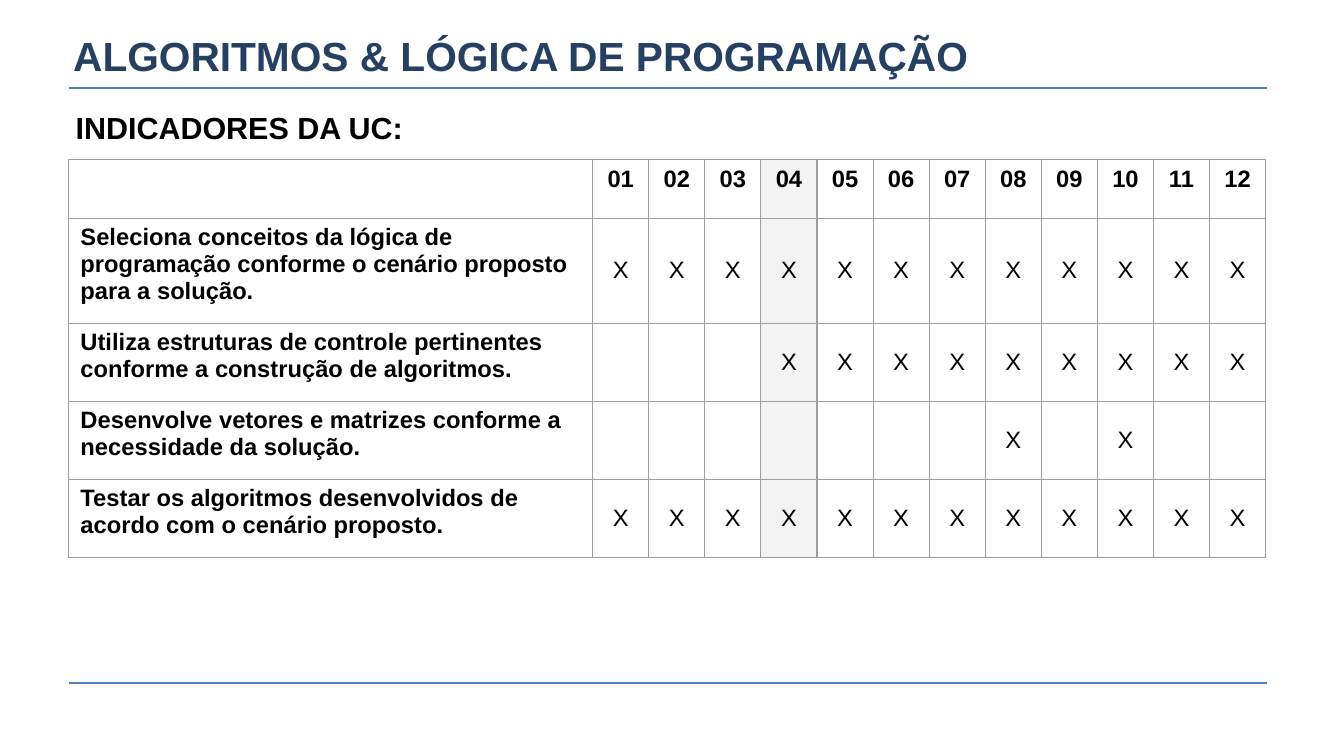
from lxml import etree
from pptx import Presentation, util as u
from pptx.dml.color import RGBColor
from pptx.enum import shapes, text
from pptx.oxml import ns

THEME = {
    "font": "Arial",
    "title": RGBColor.from_string("254061"),
    "ink": RGBColor.from_string("000000"),
    "rule": RGBColor.from_string("4F81BD"),
    "current": RGBColor.from_string("F3F3F3"),
    "border": "9E9E9E",
    "title_size": u.Pt(24),
    "heading_size": u.Pt(18),
    "cell_size": u.Pt(14),
}


def add_span(para, words, size, color, bold=True):
    span = para.add_run()
    span.text = words
    span.font.name = THEME["font"]
    span.font.size = size
    span.font.bold = bold
    span.font.color.rgb = color


def add_borders(cell):
    props = cell._tc.get_or_add_tcPr()
    for index, side in enumerate(("lnL", "lnR", "lnT", "lnB")):
        line = etree.Element(ns.qn(f"a:{side}"), w=str(u.Pt(0.75)))
        fill = etree.SubElement(line, ns.qn("a:solidFill"))
        etree.SubElement(fill, ns.qn("a:srgbClr"), val=THEME["border"])
        props.insert(index, line)


deck = Presentation()
deck.slide_width, deck.slide_height = u.Inches(11.02), u.Inches(6.2)
page = deck.slides.add_slide(deck.slide_layouts[1])
title, body = page.placeholders

# Rules under the title and at the foot
for y in (0.72, 5.6):
    rule = page.shapes.add_connector(
        shapes.MSO_CONNECTOR.STRAIGHT,
        u.Inches(0.57), u.Inches(y), u.Inches(10.39), u.Inches(y))
    rule.line.color.rgb = THEME["rule"]
    rule.line.width = u.Pt(1)
    etree.SubElement(rule._element.spPr, ns.qn("a:effectLst"))

# Title and heading
headings = (
    (title, (0.6, 0.22, 9.82, 0.47), 0, text.MSO_ANCHOR.MIDDLE,
     "ALGORITMOS & LÓGICA DE PROGRAMAÇÃO", THEME["title_size"], THEME["title"]),
    (body, (0.52, 0.75, 9.91, 4.82), 0.1, text.MSO_ANCHOR.TOP,
     "INDICADORES DA UC:", THEME["heading_size"], THEME["ink"]),
)
for box, place, inset, anchor, words, size, color in headings:
    box.left, box.top, box.width, box.height = map(u.Inches, place)
    frame = box.text_frame
    frame.word_wrap = True
    frame.auto_size = text.MSO_AUTO_SIZE.NONE
    frame.vertical_anchor = anchor
    frame.margin_left = frame.margin_right = u.Inches(inset)
    frame.margin_top = frame.margin_bottom = u.Inches(inset)
    para = frame.paragraphs[0]
    para.alignment = text.PP_ALIGN.LEFT
    para.space_before = u.Pt(0)
    add_span(para, words, size, color)

# The heading is a plain paragraph without bullet or indent
heading = body.text_frame.paragraphs[0]
heading.line_spacing = 1.15
heading.space_after = u.Pt(10)
heading_props = heading._p.get_or_add_pPr()
heading_props.set("marL", "0")
heading_props.set("indent", "0")
etree.SubElement(heading_props, ns.qn("a:buNone"))

# Indicators and the lessons in which each one is assessed
lessons = range(1, 13)
current_lesson = 4
indicators = (
    ("Seleciona conceitos da lógica de programação conforme o cenário proposto "
     "para a solução.", lessons, 0.86),
    ("Utiliza estruturas de controle pertinentes conforme a construção de "
     "algoritmos.", range(4, 13), 0.64),
    ("Desenvolve vetores e matrizes conforme a necessidade da solução.",
     (8, 10), 0.64),
    ("Testar os algoritmos desenvolvidos de acordo com o cenário proposto.",
     lessons, 0.64),
)
rows = [["", *(f"{lesson:02}" for lesson in lessons)]]
for indicator, assessed, _ in indicators:
    rows.append([indicator, *("X" if lesson in assessed else "" for lesson in lessons)])
heights = [0.48, *(height for _, _, height in indicators)]
widths = [4.3] + [0.46] * len(lessons)

# Indicator table
table = page.shapes.add_table(
    len(rows), len(widths), u.Inches(0.56), u.Inches(1.31),
    u.Inches(sum(widths)), u.Inches(sum(heights))).table
table.first_row = table.horz_banding = False
for column, width in zip(table.columns, widths):
    column.width = u.Inches(width)
for r, (row, height) in enumerate(zip(rows, heights)):
    table.rows[r].height = u.Inches(height)
    for c, words in enumerate(row):
        cell = table.cell(r, c)
        if c == current_lesson:
            cell.fill.solid()
            cell.fill.fore_color.rgb = THEME["current"]
        else:
            cell.fill.background()
        add_borders(cell)
        is_mark = r > 0 and c > 0
        if is_mark:
            cell.vertical_anchor = text.MSO_ANCHOR.MIDDLE
        if words:
            para = cell.text_frame.paragraphs[0]
            para.alignment = text.PP_ALIGN.CENTER if c else text.PP_ALIGN.LEFT
            add_span(para, words, THEME["cell_size"], THEME["ink"], not is_mark)

deck.save("out.pptx")
